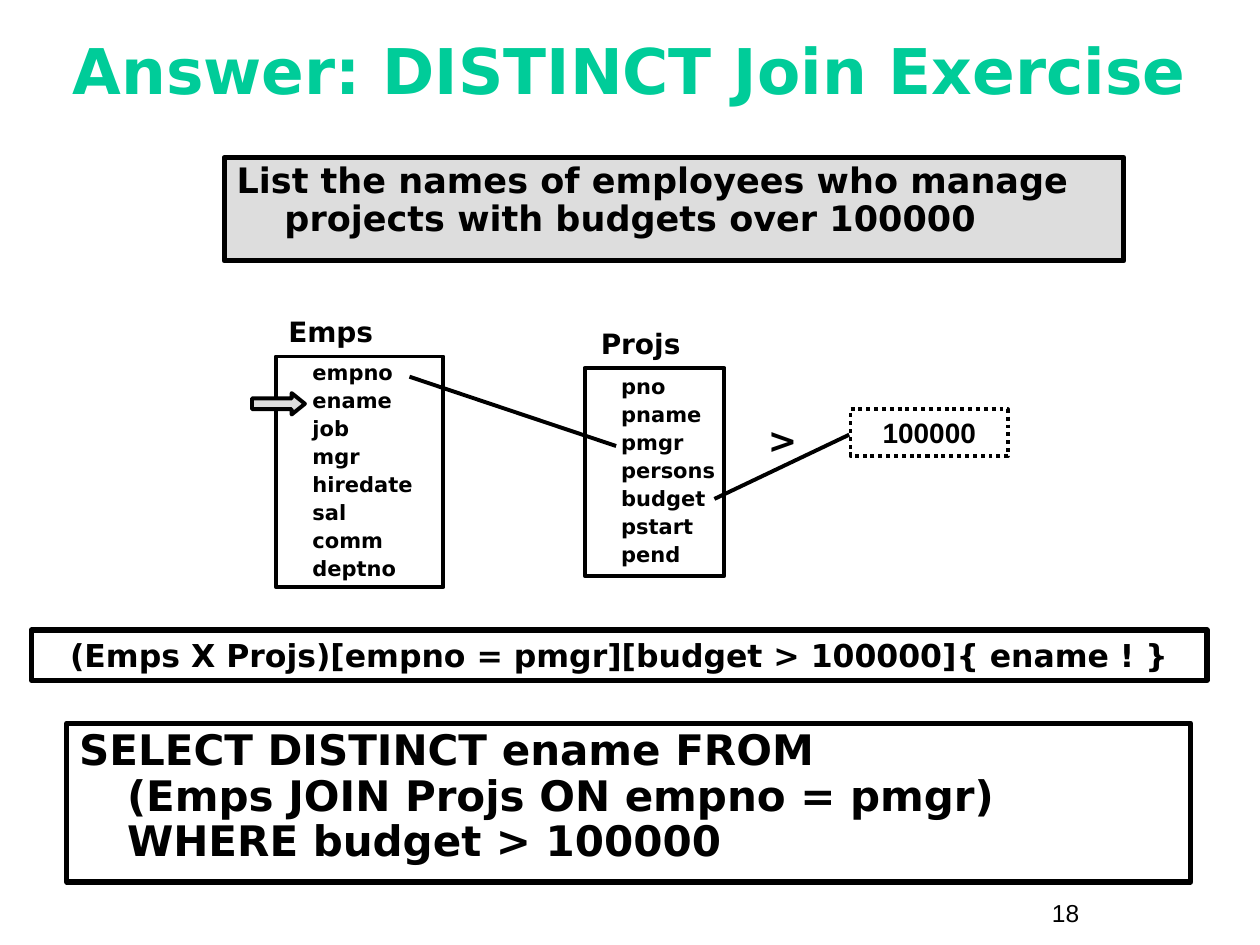
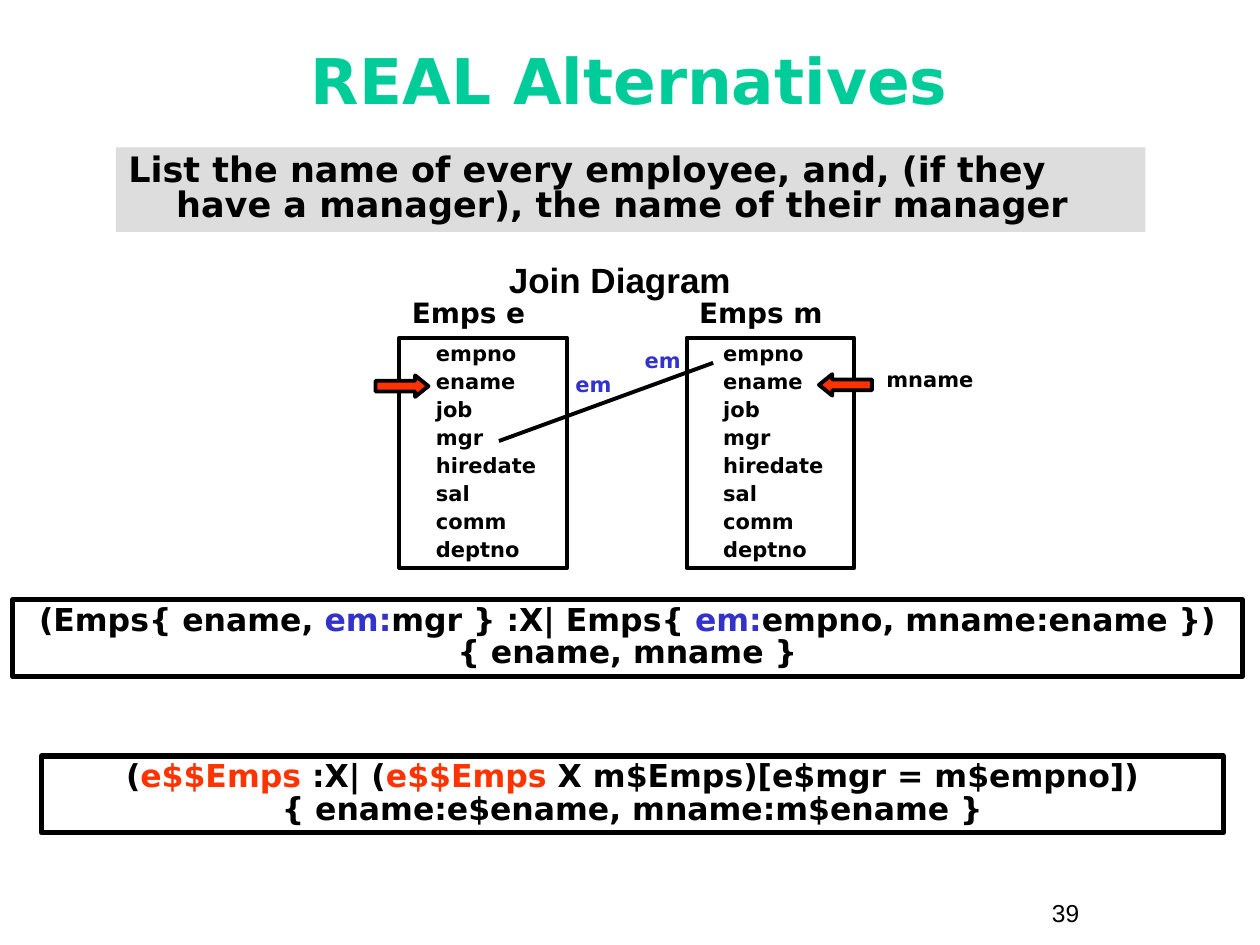
from pptx import Presentation
from pptx.dml.color import RGBColor
from pptx.enum import dml, shapes, text
from pptx.oxml.ns import qn
from pptx.util import Inches, Pt

BLACK, WHITE, GREY = "000000", "FFFFFF", "DDDDDD"
GREEN, BLUE, RED = "00CC99", "3333CC", "FF3300"
HEAVY, THIN = 3, 2.25
SANS, ARIAL = "DejaVu Sans", "Arial"
HANGING = 0.38
EMPS = ["empno", "ename", "job", "mgr", "hiredate", "sal", "comm", "deptno"]
PROJS = ["pno", "pname", "pmgr", "persons", "budget", "pstart", "pend"]
RECT = shapes.MSO_SHAPE.RECTANGLE
RIGHT = shapes.MSO_SHAPE.RIGHT_ARROW
LEFT = shapes.MSO_SHAPE.LEFT_ARROW


def rgb(color):
    return RGBColor.from_string(color)


def add_run(p, content, size, font, color, bold):
    for i, line in enumerate(content.split("\n")):
        if i:
            p.add_line_break()
        r = p.add_run()
        r.text = line
        r.font.size, r.font.name, r.font.bold = Pt(size), font, bold
        r.font.color.rgb = rgb(color)


def put_text(sp, paragraphs, size=18, font=SANS, color=BLACK, bold=True,
             center=False, middle=False, spacing=1.0, before=0, hanging=0,
             left=0.1, right=0.1):
    tf = sp.text_frame
    tf.word_wrap = True
    tf.margin_left, tf.margin_right = Inches(left), Inches(right)
    tf.margin_top = tf.margin_bottom = Inches(0.05)
    tf.vertical_anchor = text.MSO_ANCHOR.MIDDLE if middle else text.MSO_ANCHOR.TOP
    if isinstance(paragraphs, str):
        paragraphs = [paragraphs]
    for i, content in enumerate(paragraphs):
        p = tf.add_paragraph() if i else tf.paragraphs[0]
        p.alignment = text.PP_ALIGN.CENTER if center else text.PP_ALIGN.LEFT
        p.line_spacing = spacing
        if i:
            p.space_before = Pt(before)
        if hanging:
            pPr = p._p.get_or_add_pPr()
            pPr.set("marL", str(Inches(hanging)))
            pPr.set("indent", str(-Inches(hanging)))
        runs = [(content, color)] if isinstance(content, str) else content
        for words, tint in runs:
            add_run(p, words, size, font, tint, bold)


def add_label(s, content, x, y, w, h, **fmt):
    put_text(s.shapes.add_textbox(Inches(x), Inches(y), Inches(w), Inches(h)),
             content, **fmt)


def add_figure(s, kind, x, y, w, h, fill=None, line=None):
    sp = s.shapes.add_shape(kind, Inches(x), Inches(y), Inches(w), Inches(h))
    sp.shadow.inherit = False
    if fill:
        sp.fill.solid()
        sp.fill.fore_color.rgb = rgb(fill)
    else:
        sp.fill.background()
    if line:
        sp.line.color.rgb = rgb(BLACK)
        sp.line.width = Pt(line)
    else:
        sp.line.fill.background()
    return sp


def add_box(s, content, x, y, w, h, fill=None, line=HEAVY, **fmt):
    sp = add_figure(s, RECT, x, y, w, h, fill, line)
    put_text(sp, content, **fmt)
    return sp


def add_relation(s, name, attributes, x, y, w, h, name_x=None):
    add_box(s, attributes, x, y, w, h, line=THIN, size=12, middle=True,
            spacing=0.9, before=3, left=0.29, right=0)
    add_label(s, name, name_x or x, y - 0.35, 1.36, 0.34, size=16, spacing=0.9)


def add_marker(s, kind, x, y, fill):
    sp = add_figure(s, kind, x, y, 0.42, 0.17, fill, THIN)
    sp.adjustments[0], sp.adjustments[1] = 0.5, 0.62


def add_join(s, x1, y1, x2, y2):
    line = s.shapes.add_connector(shapes.MSO_CONNECTOR.STRAIGHT, Inches(x1),
                                  Inches(y1), Inches(x2), Inches(y2))
    line.line.color.rgb = rgb(BLACK)
    line.line.width = Pt(THIN)
    spPr = line._element.spPr
    spPr.append(spPr.makeelement(qn("a:effectLst"), {}))


def new_slide(prs, title, number, title_y, title_h):
    s = prs.slides.add_slide(prs.slide_layouts[6])
    s.background.fill.solid()
    s.background.fill.fore_color.rgb = rgb(WHITE)
    add_label(s, number, 8.25, 7.08, 0.92, 0.34, size=14, font=ARIAL, bold=False)
    add_label(s, title, 0.33, title_y, 9.33, title_h, size=36, color=GREEN,
              center=True, middle=True)
    return s


def distinct_join(prs):
    s = new_slide(prs, "Answer: DISTINCT Join Exercise", "18", 0.26, 0.58)
    add_box(s, "List the names of employees who manage projects with budgets over 100000",
            1.78, 1.25, 7.14, 0.82, fill=GREY, size=20, spacing=0.9, hanging=HANGING)
    add_relation(s, "Emps", EMPS, 2.19, 2.83, 1.33, 1.83)
    add_relation(s, "Projs", PROJS, 4.64, 2.92, 1.11, 1.65, name_x=4.67)
    add_join(s, 3.25, 2.99, 4.89, 3.54)
    add_box(s, "SELECT DISTINCT ename FROM\n(Emps JOIN Projs ON empno = pmgr)\n"
            "WHERE budget > 100000",
            0.53, 5.74, 8.92, 1.26, size=24, spacing=0.9, hanging=HANGING)
    add_marker(s, RIGHT, 2, 3.12, GREY)
    add_box(s, "(Emps X Projs)[empno = pmgr][budget > 100000]{ ename ! }",
            0.25, 5, 9.33, 0.4, center=True)
    limit = add_box(s, "100000", 6.75, 3.25, 1.25, 0.37, line=THIN, size=16,
                    font=ARIAL, center=True)
    limit.line.dash_style = dml.MSO_LINE.ROUND_DOT
    add_join(s, 5.67, 3.96, 6.74, 3.45)
    add_label(s, ">", 5.92, 3.32, 0.58, 0.39, size=20, center=True, spacing=0.85)


def real_alternatives(prs):
    s = new_slide(prs, "REAL Alternatives", "39", 0.17, 0.92)
    add_box(s, "List the name of every employee, and, (if they have a manager), "
            "the name of their manager",
            0.92, 1.17, 8.17, 0.67, fill=GREY, line=None, size=20, spacing=0.85,
            hanging=HANGING)
    add_label(s, "Join Diagram", 3.42, 2, 3, 0.44, size=20, font=ARIAL, center=True)
    for name, x in (("Emps e", 3.17), ("Emps m", 5.45)):
        add_relation(s, name, EMPS, x, 2.68, 1.33, 1.83)
    add_join(s, 3.96, 3.5, 5.66, 2.88)
    add_marker(s, RIGHT, 2.98, 2.98, RED)
    add_marker(s, LEFT, 6.5, 2.97, RED)
    for name, x, y, w, color in (("mname", 6.92, 2.89, 0.92, BLACK),
                                 ("em", 4.42, 2.93, 0.58, BLUE),
                                 ("em", 4.97, 2.74, 0.58, BLUE)):
        add_label(s, name, x, y, w, 0.27, size=12, color=color, center=True,
                  spacing=0.85)
    renamed = [("(Emps{ ename, ", BLACK), ("em:", BLUE), ("mgr } :X| Emps{ ", BLACK),
               ("em:", BLUE), ("empno, mname:ename })\n{ ename, mname }", BLACK)]
    prefixed = [("(", BLACK), ("e$$Emps", RED), (" :X| (", BLACK), ("e$$Emps", RED),
                (" X m$Emps)[e$mgr = m$empno])\n{ ename:e$ename, mname:m$ename }", BLACK)]
    for runs, x, y, w in ((renamed, 0.1, 4.76, 9.76), (prefixed, 0.33, 6, 9.38)):
        add_box(s, [runs], x, y, w, 0.61, center=True, spacing=0.85)


def main():
    prs = Presentation()
    prs.slide_width, prs.slide_height = Inches(10), Inches(7.5)
    distinct_join(prs)
    real_alternatives(prs)
    prs.save("out.pptx")


if __name__ == "__main__":
    main()
